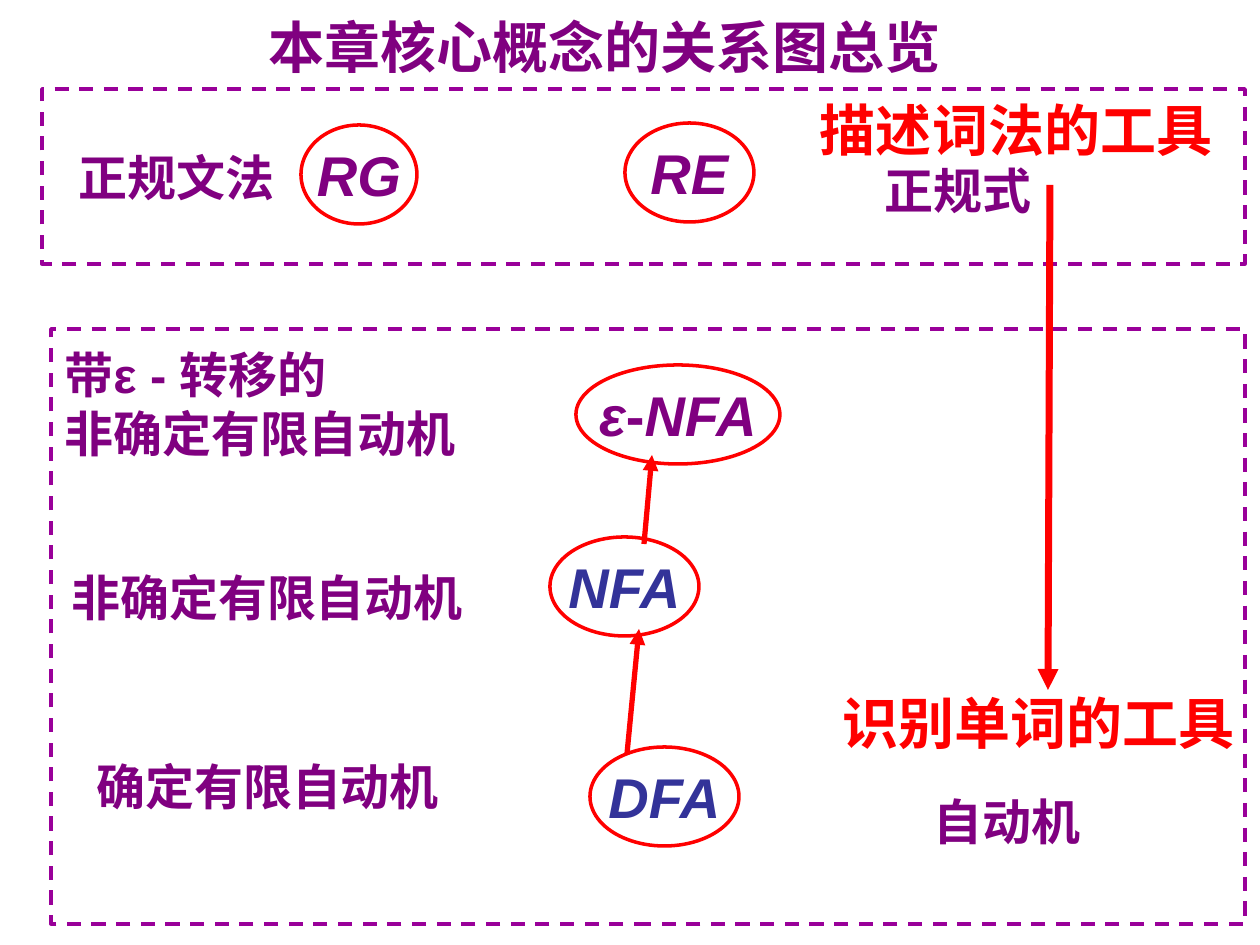
from lxml.etree import SubElement
from pptx import Presentation
from pptx.dml.color import RGBColor
from pptx.enum.dml import MSO_LINE
from pptx.enum.shapes import MSO_CONNECTOR, MSO_SHAPE
from pptx.enum.text import MSO_ANCHOR, PP_ALIGN
from pptx.oxml.ns import qn
from pptx.util import Emu, Pt

THEME = {
    "font": "Arial",
    "purple": RGBColor(0x80, 0x00, 0x80),
    "frame": RGBColor(0x99, 0x00, 0x99),
    "red": RGBColor(0xFF, 0x00, 0x00),
    "blue": RGBColor(0x33, 0x33, 0x99),
    "large": Pt(32),
    "small": Pt(28),
}
PX = 914400 / 126


def px(*lengths):
    return [Emu(round(length * PX)) for length in lengths]


def write(paragraph, text, color, size, italic=False):
    """Append one bold run in the theme font."""
    run = paragraph.add_run()
    run.text = text
    style = {"name": THEME["font"], "size": THEME[size], "bold": True, "italic": italic}
    for attribute, value in style.items():
        setattr(run.font, attribute, value)
    run.font.color.rgb = THEME[color]


prs = Presentation()
prs.slide_width, prs.slide_height = px(1260, 945)
slide = prs.slides.add_slide(prs.slide_layouts[6])
shapes = slide.shapes

# Dashed frames: description tools above, recognition tools below
frames = []
for box in [(42, 89, 1203, 175), (51, 329, 1194, 595)]:
    frame = shapes.add_shape(MSO_SHAPE.RECTANGLE, *px(*box))
    frame.shadow.inherit = False
    frame.fill.background()
    frame.line.color.rgb = THEME["frame"]
    frame.line.width = Pt(2)
    frame.line.dash_style = MSO_LINE.DASH
    frames.append(frame)

description = frames[0].text_frame
description.vertical_anchor = MSO_ANCHOR.TOP
description.margin_left, description.margin_right = px(778, 0)
description.paragraphs[0].alignment = PP_ALIGN.LEFT
write(description.paragraphs[0], "描述词法的工具", "red", "large")

# Labels: lines, box, colour, size
labels = [
    (["本章核心概念的关系图总览"], (256, 6, 707, 81), "purple", "large"),
    (["正规文法"], (66, 141, 266, 72), "purple", "small"),
    (["正规式"], (872, 154, 217, 72), "purple", "small"),
    (["自动机"], (921, 785, 324, 72), "purple", "small"),
    (["带ε - 转移的", "非确定有限自动机"], (52, 338, 444, 131), "purple", "small"),
    (["非确定有限自动机"], (59, 561, 423, 72), "purple", "small"),
    (["确定有限自动机"], (84, 750, 374, 72), "purple", "small"),
    (["识别单词的工具"], (830, 682, 430, 81), "red", "large"),
]
for lines, box, color, size in labels:
    label = shapes.add_textbox(*px(*box)).text_frame
    label.word_wrap = True
    for index, line in enumerate(lines):
        paragraph = label.add_paragraph() if index else label.paragraphs[0]
        write(paragraph, line, color, size)

# Concepts: (text, italic) runs, left, top, width, colour
concepts = [
    ([("RG", True)], 301, 125, 116, "purple"),
    ([("RE", True)], 625, 123, 129, "purple"),
    ([("ε", True), ("-", False), ("NFA", True)], 576, 365, 204, "purple"),
    ([("NFA", True)], 550, 537, 149, "blue"),
    ([("DFA", True)], 590, 747, 149, "blue"),
]
for runs, left, top, width, color in concepts:
    concept = shapes.add_shape(MSO_SHAPE.OVAL, *px(left, top, width, 99))
    concept.shadow.inherit = False
    concept.fill.background()
    concept.line.color.rgb = THEME["red"]
    concept.line.width = Pt(2)
    name = concept.text_frame
    layout = {"word_wrap": False, "vertical_anchor": MSO_ANCHOR.MIDDLE,
              "margin_left": 0, "margin_top": 0, "margin_right": 0, "margin_bottom": 0}
    for attribute, value in layout.items():
        setattr(name, attribute, value)
    name.paragraphs[0].alignment = PP_ALIGN.CENTER
    for text, italic in runs:
        write(name.paragraphs[0], text, color, "large", italic)

# Arrows: start, end, line width in points
arrows = [
    ((1050, 185), (1048, 690), 4),
    ((627, 754), (639, 629), 3),
    ((644, 544), (652, 455), 3),
]
for start, end, weight in arrows:
    arrow = shapes.add_connector(MSO_CONNECTOR.STRAIGHT, *px(*start, *end))
    arrow.line.color.rgb = THEME["red"]
    arrow.line.width = Pt(weight)
    SubElement(arrow.line._get_or_add_ln(), qn("a:tailEnd"), type="triangle")
    SubElement(arrow._element.spPr, qn("a:effectLst"))

prs.save("out.pptx")
